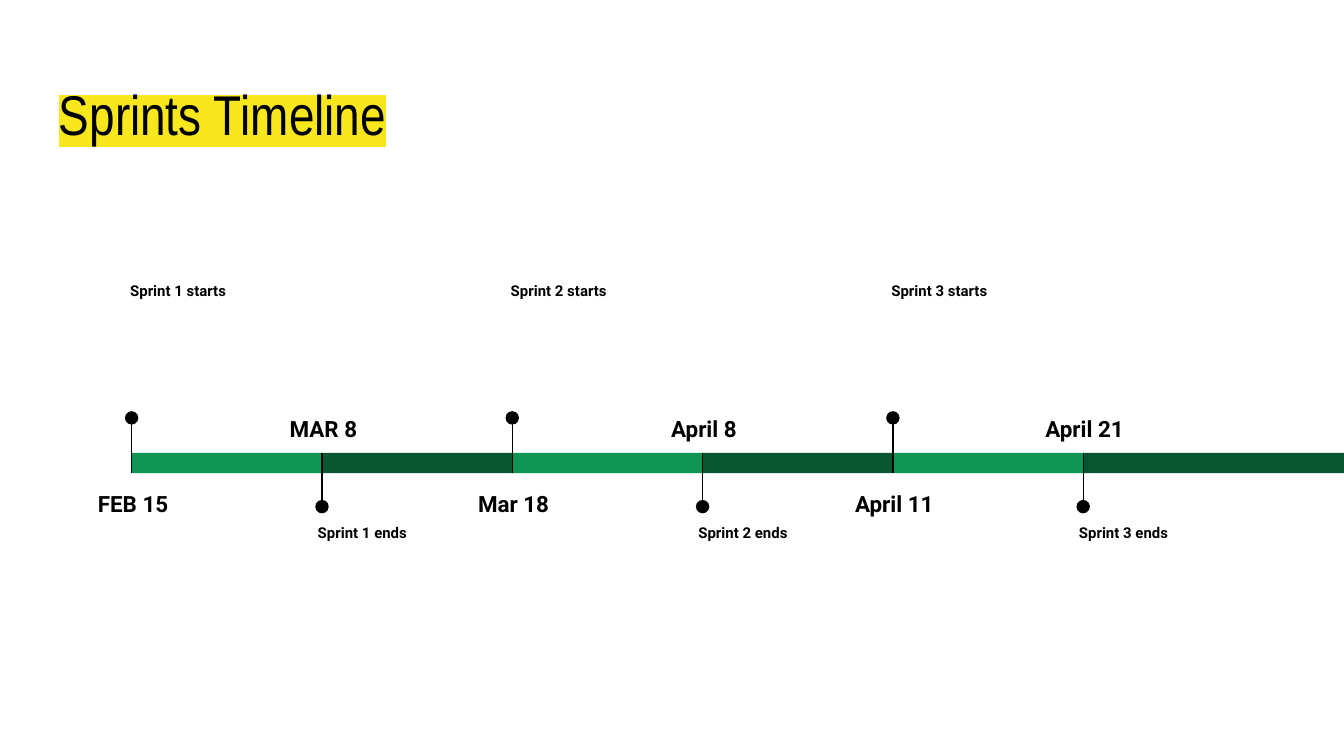
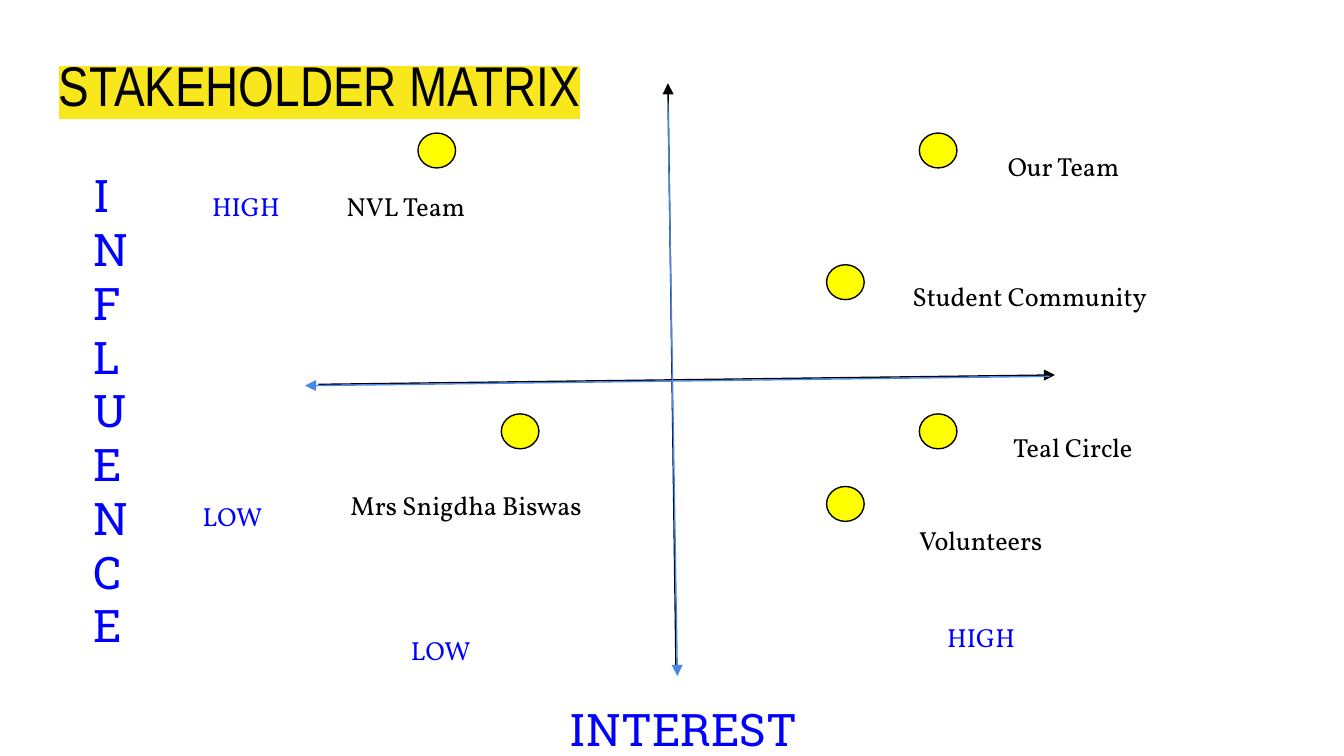
from dataclasses import dataclass

from lxml import etree
from pptx import Presentation
from pptx.dml.color import RGBColor
from pptx.enum.shapes import MSO_CONNECTOR, MSO_SHAPE
from pptx.enum.text import MSO_ANCHOR, PP_ALIGN
from pptx.oxml.ns import qn
from pptx.util import Inches, Pt

RECT, OVAL = MSO_SHAPE.RECTANGLE, MSO_SHAPE.OVAL
LINE = MSO_CONNECTOR.STRAIGHT
LEFT, MID = PP_ALIGN.LEFT, PP_ALIGN.CENTER
TOP = MSO_ANCHOR.TOP

# Slide size, cut into a grid of 100 columns with square cells
WIDE, HIGH = Inches(10), Inches(5.625)
CELL = WIDE / 100


@dataclass(frozen=True)
class Theme:
    ink: str = "000000"
    mark: str = "F8E71C"
    light: str = "0E9453"
    dark: str = "085631"
    blue: str = "0000FF"
    sky: str = "4A86E8"
    sun: str = "FFFF00"
    head: tuple = ("Arial Narrow", 30)
    date: tuple = ("Roboto", 12)
    note: tuple = ("Roboto", 8)
    axis: tuple = ("Roboto Slab", 24)
    name: tuple = ("Vollkorn", 14)
    stroke: float = 0.75


THEME = Theme()

# Timeline: date and label of each milestone
STEPS = [
    ("FEB 15", "Sprint 1 starts"), ("MAR 8", "Sprint 1 ends"),
    ("Mar 18", "Sprint 2 starts"), ("April 8", "Sprint 2 ends"),
    ("April 11", "Sprint 3 starts"), ("April 21", "Sprint 3 ends"),
]
FIRST, LAST = 9.8, 80.6
GAP = (LAST - FIRST) / (len(STEPS) - 1)
BAR_TOP, BAR_TALL, DOT = 33.7, 1.5, 1

# Matrix: arrows (from x, y, to x, y, colour)
ARROWS = [
    (50.3, 50, 49.7, 6.2, THEME.ink),
    (23.7, 28.6, 78.5, 27.9, THEME.ink),
    (78.1, 28, 22.7, 28.7, THEME.sky),
    (49.7, 7.7, 50.4, 50.3, THEME.sky),
]
# Matrix: party, dot place, label box
PARTIES = [
    ("Mrs Snigdha Biswas", (37.3, 30.8), (25.1, 35.4, 19.6, 2.6)),
    ("Teal Circle", (68.4, 30.8), (74.4, 31.1, 15.4, 2.6)),
    ("Student Community", (61.5, 19.7), (66.9, 19.9, 21.7, 3.6)),
    ("NVL Team", (31.1, 9.9), (24.8, 13.2, 15.4, 2.6)),
    ("Our Team", (68.4, 9.9), (74, 10.2, 12.2, 2.6)),
    ("Volunteers", (61.5, 36.2), (67.4, 38, 17.3, 2.6)),
]
# Matrix: level, label box, alignment
LEVELS = [
    ("HIGH", (12.2, 13.2, 12.2, 4.1), MID),
    ("LOW", (14.1, 36.2, 8.7, 3.6), LEFT),
    ("LOW", (29.6, 46.2, 8.7, 3.6), LEFT),
    ("HIGH", (66.9, 45.2, 12.2, 4.1), MID),
]


def grid(*cells):
    return [round(c * CELL) for c in cells]


def tint(code):
    return RGBColor.from_string(code)


def text(shapes, box, words, face, ink=THEME.ink, bold=False, mark=None, **form):
    """Text box with one paragraph per line; form holds paragraph values."""
    frame = shapes.add_textbox(*grid(*box)).text_frame
    frame.word_wrap, frame.vertical_anchor = True, TOP
    for side in ("left", "top", "right", "bottom"):
        setattr(frame, f"margin_{side}", Inches(0.1))
    for i, line in enumerate(words.split("\n")):
        para = frame.add_paragraph() if i else frame.paragraphs[0]
        for key, value in form.items():
            setattr(para, key, value)
        run = para.add_run()
        run.text = line
        run.font.color.rgb = tint(ink)
        if mark:
            glow = etree.SubElement(run.font._element, qn("a:highlight"))
            etree.SubElement(glow, qn("a:srgbClr"), val=mark)
        looks = {"name": face[0], "size": Pt(face[1]), "bold": bold}
        for key, value in looks.items():
            setattr(run.font, key, value)


def title(slide, top, words):
    text(slide.shapes, (3.4, top, 93.2, 6.3), words, THEME.head, mark=THEME.mark)


def shape(shapes, kind, box, fill, edge=None):
    item = shapes.add_shape(kind, *grid(*box))
    item.shadow.inherit = False
    item.fill.solid()
    item.fill.fore_color.rgb = tint(fill)
    if edge:
        item.line.color.rgb = tint(edge)
        item.line.width = Pt(THEME.stroke)
    else:
        item.line.fill.background()


def line(shapes, ends, ink=THEME.ink, arrow=False):
    item = shapes.add_connector(LINE, *grid(*ends))
    item.line.color.rgb = tint(ink)
    item.line.width = Pt(THEME.stroke)
    if arrow:
        etree.SubElement(item.line._get_or_add_ln(), qn("a:tailEnd"), type="triangle")
    etree.SubElement(item._element.spPr, qn("a:effectLst"))


def step(slide, i, date, note):
    """One milestone: bar, pin, date and label, switching sides each time."""
    shapes = slide.shapes.add_group_shape().shapes
    x = FIRST + i * GAP
    start = i % 2 == 0
    end = 100 if i == len(STEPS) - 1 else x + GAP
    fill = THEME.light if start else THEME.dark
    shape(shapes, RECT, (x, BAR_TOP, end - x, BAR_TALL), fill)
    dot_y, date_y, note_x, note_y = (
        (30.6, 35.2, x - 1.1, 20.3) if start else (37.2, 29.6, x - 1.3, 38.3))
    tip = BAR_TOP + BAR_TALL if start else BAR_TOP
    shape(shapes, OVAL, (x - DOT / 2, dot_y, DOT, DOT), THEME.ink)
    line(shapes, (x, dot_y + DOT / 2, x, tip))
    text(shapes, (x - 4, date_y, 8.2, 4.1), date, THEME.date, bold=True,
         alignment=MID, line_spacing=1.15, space_after=Pt(16))
    text(shapes, (note_x, note_y, 18.4, 10.3), note, THEME.note, bold=True)


def sprints(slide):
    title(slide, 4.9, "Sprints Timeline")
    for i, (date, note) in enumerate(STEPS):
        step(slide, i, date, note)


def matrix(slide):
    shapes = slide.shapes
    # Axes
    for *ends, ink in ARROWS:
        line(shapes, ends, ink, arrow=True)
    # Parties
    for name, spot, box in PARTIES:
        shape(shapes, OVAL, (*spot, 2.8, 2.6), THEME.sun, THEME.ink)
        text(shapes, box, name, THEME.name)
    # Axis names and levels
    text(shapes, (6, 11.5, 5.8, 34.7), "\n".join("INFLUENCE"), THEME.axis, THEME.blue)
    text(shapes, (35.5, 51.2, 30.7, 4.1), "INTEREST", THEME.axis, THEME.blue,
         alignment=MID)
    for level, box, side in LEVELS:
        text(shapes, box, level, THEME.name, THEME.blue, alignment=side)
    title(slide, 2.8, "STAKEHOLDER MATRIX")


def main():
    deck = Presentation()
    deck.slide_width, deck.slide_height = WIDE, HIGH
    for draw in (sprints, matrix):
        draw(deck.slides.add_slide(deck.slide_layouts[6]))
    deck.save("out.pptx")


if __name__ == "__main__":
    main()
